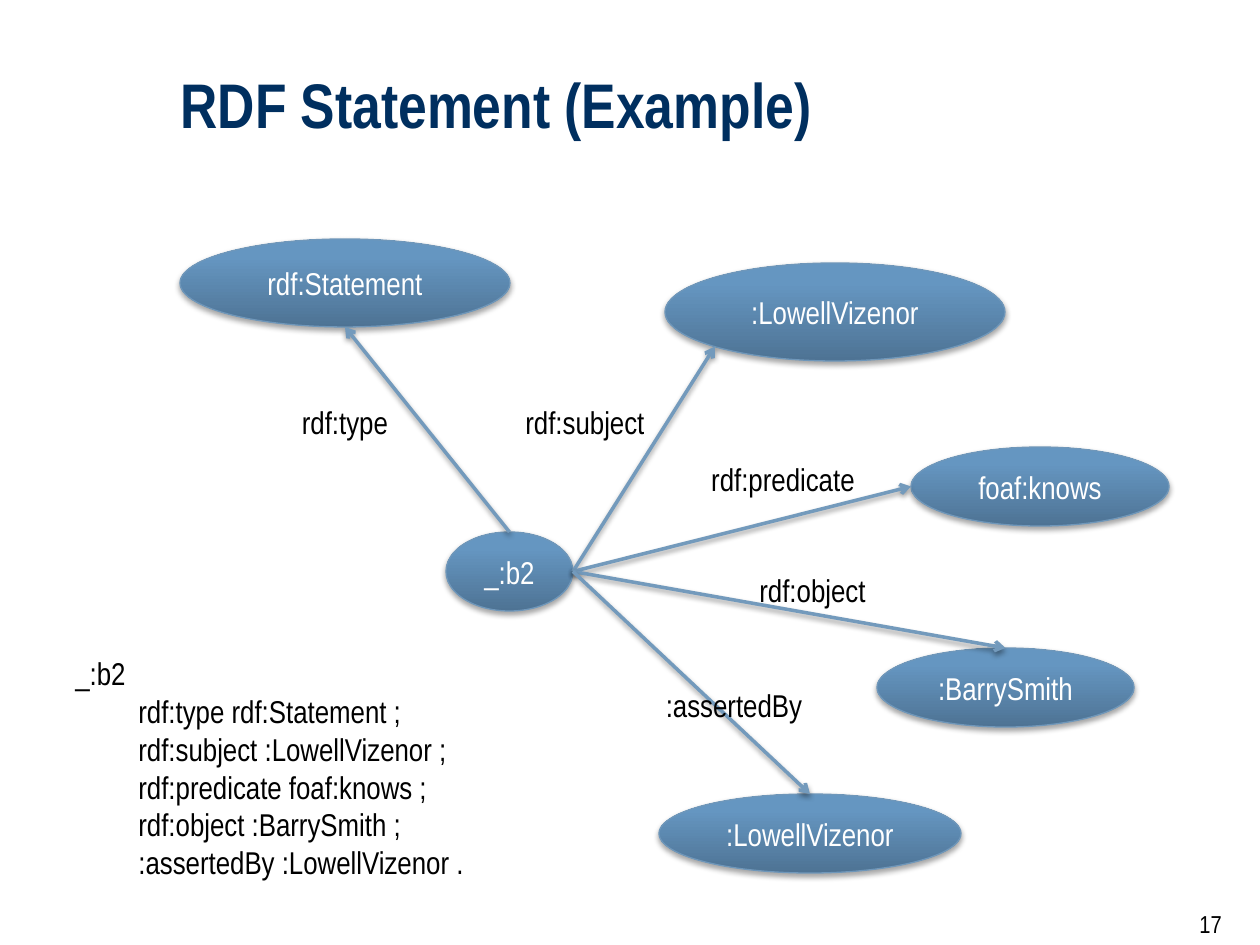
import pptx
import pptx.util
import pptx.dml.color
import pptx.enum.dml
import pptx.enum.shapes
import pptx.enum.text
import pptx.oxml
import pptx.oxml.ns
import math

PX = 914400 / 126
FONT = "Arial Narrow"
COLORS = {
    "title": "002F5F", "text": "000000", "node_text": "FFFFFF",
    "node_line": "6F97BA", "link": "739ABC", "shadow": "000000",
}
NODE_STOPS = [(0, "4E7394"), (80, "6596C1"), (100, "6497C3")]
NS = pptx.oxml.ns.nsdecls("a")
ALIGN = pptx.enum.text.PP_ALIGN
ANCHOR = pptx.enum.text.MSO_ANCHOR
AUTO = pptx.enum.text.MSO_AUTO_SIZE


def emu(px):
    return pptx.util.Emu(round(px * PX))


def rgb(name):
    return pptx.dml.color.RGBColor.from_string(COLORS[name])


class Deck:
    def __init__(self, width, height):
        self.prs = pptx.Presentation()
        self.prs.slide_width, self.prs.slide_height = emu(width), emu(height)
        self.s = None

    def add_slide(self):
        self.s = self.prs.slides.add_slide(self.prs.slide_layouts[5])

    def run(self, p, text, color, size=18, bold=False, align=ALIGN.LEFT):
        p.alignment = align
        r = p.add_run()
        r.text = text
        r.font.name, r.font.size, r.font.bold = FONT, pptx.util.Pt(size), bold
        r.font.color.rgb = rgb(color)

    def add_shadow(self, sp, alpha, dist):
        sp._element.spPr.append(pptx.oxml.parse_xml(
            f'<a:effectLst {NS}><a:outerShdw blurRad="40000" dist="{dist}" '
            f'dir="5400000" rotWithShape="0"><a:srgbClr val="{COLORS["shadow"]}">'
            f'<a:alpha val="{alpha * 1000}"/></a:srgbClr></a:outerShdw></a:effectLst>'))

    def title(self, text, x, y, w, h):
        sp = self.s.shapes.title
        sp.left, sp.top, sp.width, sp.height = map(emu, (x, y, w, h))
        tf = sp.text_frame
        tf.auto_size, tf.vertical_anchor = AUTO.NONE, ANCHOR.BOTTOM
        tf.paragraphs[0].line_spacing = 0.85
        self.run(tf.paragraphs[0], text, "title", 36, True)

    def text(self, lines, x, y, w, h, size=18, align=ALIGN.LEFT, tab=None):
        sp = self.s.shapes.add_textbox(*map(emu, (x, y, w, h)))
        tf = sp.text_frame
        tf.word_wrap, tf.auto_size = True, AUTO.SHAPE_TO_FIT_TEXT
        for i, line in enumerate(lines):
            p = tf.add_paragraph() if i else tf.paragraphs[0]
            if tab:
                p._p.get_or_add_pPr().append(pptx.oxml.parse_xml(
                    f'<a:tabLst {NS}><a:tab pos="{emu(tab)}" algn="l"/></a:tabLst>'))
            self.run(p, line, "text", size, align=align)

    def node(self, text, x, y, w, h):
        sp = self.s.shapes.add_shape(
            pptx.enum.shapes.MSO_SHAPE.OVAL, *map(emu, (x, y, w, h)))
        sp.fill.gradient()
        sp.fill.gradient_angle = 90
        stops = sp._element.spPr.find(".//" + pptx.oxml.ns.qn("a:gsLst"))
        for stop in list(stops):
            stops.remove(stop)
        for pos, color in NODE_STOPS:
            stops.append(pptx.oxml.parse_xml(
                f'<a:gs {NS} pos="{pos * 1000}"><a:srgbClr val="{color}"/></a:gs>'))
        sp.line.color.rgb, sp.line.width = rgb("node_line"), pptx.util.Pt(0.75)
        self.add_shadow(sp, 35, 23000)
        tf = sp.text_frame
        tf.word_wrap, tf.vertical_anchor = True, ANCHOR.MIDDLE
        self.run(tf.paragraphs[0], text, "node_text", align=ALIGN.CENTER)
        return sp

    def rim(self, sp, degrees):
        """Point on an oval's edge, clockwise from its right end."""
        a = math.radians(degrees)
        return (round(sp.left + sp.width / 2 * (1 + math.cos(a))),
                round(sp.top + sp.height / 2 * (1 + math.sin(a))))

    def link(self, start, start_deg, end, end_deg):
        sp = self.s.shapes.add_connector(
            pptx.enum.shapes.MSO_CONNECTOR.STRAIGHT,
            *self.rim(start, start_deg), *self.rim(end, end_deg))
        sp.line.color.rgb, sp.line.width = rgb("link"), pptx.util.Pt(2)
        sp._element.spPr.find(pptx.oxml.ns.qn("a:ln")).append(
            pptx.oxml.parse_xml(f'<a:tailEnd {NS} type="arrow"/>'))
        self.add_shadow(sp, 38, 20000)


def main():
    deck = Deck(1260, 945)
    deck.add_slide()
    deck.title("RDF Statement (Example)", 168, 28, 1029, 120)
    deck.text(["17"], 1187, 903, 53, 43, size=14)

    # Graph nodes
    statement = deck.node("rdf:Statement", 180, 239, 330, 88)
    blank = deck.node("_:b2", 446, 532, 127, 79)
    subject = deck.node(":LowellVizenor", 665, 263, 340, 98)
    predicate = deck.node("foaf:knows", 911, 447, 258, 79)
    obj = deck.node(":BarrySmith", 877, 648, 257, 79)
    asserter = deck.node(":LowellVizenor", 659, 794, 302, 79)

    # Properties leading out of the blank node
    right, bottom_left, bottom, left, top = 0, 135, 90, 180, 270
    deck.link(blank, top, statement, bottom)
    for target, side in [(subject, bottom_left), (predicate, left),
                         (obj, top), (asserter, top)]:
        deck.link(blank, right, target, side)

    # Property labels
    for label, x, y, w in [
        ("rdf:type", 272, 397, 146),
        ("rdf:object", 714, 565, 197),
        ("rdf:predicate", 665, 454, 236),
        ("rdf:subject", 498, 397, 174),
        (":assertedBy", 644, 680, 180),
    ]:
        deck.text([label], x, y, w, 50, align=ALIGN.CENTER)

    # The same statement in Turtle
    deck.text([
        "_:b2",
        "\trdf:type rdf:Statement ;",
        "\trdf:subject :LowellVizenor ;",
        "\trdf:predicate foaf:knows ;",
        "\trdf:object :BarrySmith ;",
        "\t:assertedBy :LowellVizenor .",
    ], 63, 648, 447, 242, tab=63)

    deck.prs.save("out.pptx")


if __name__ == "__main__":
    main()
